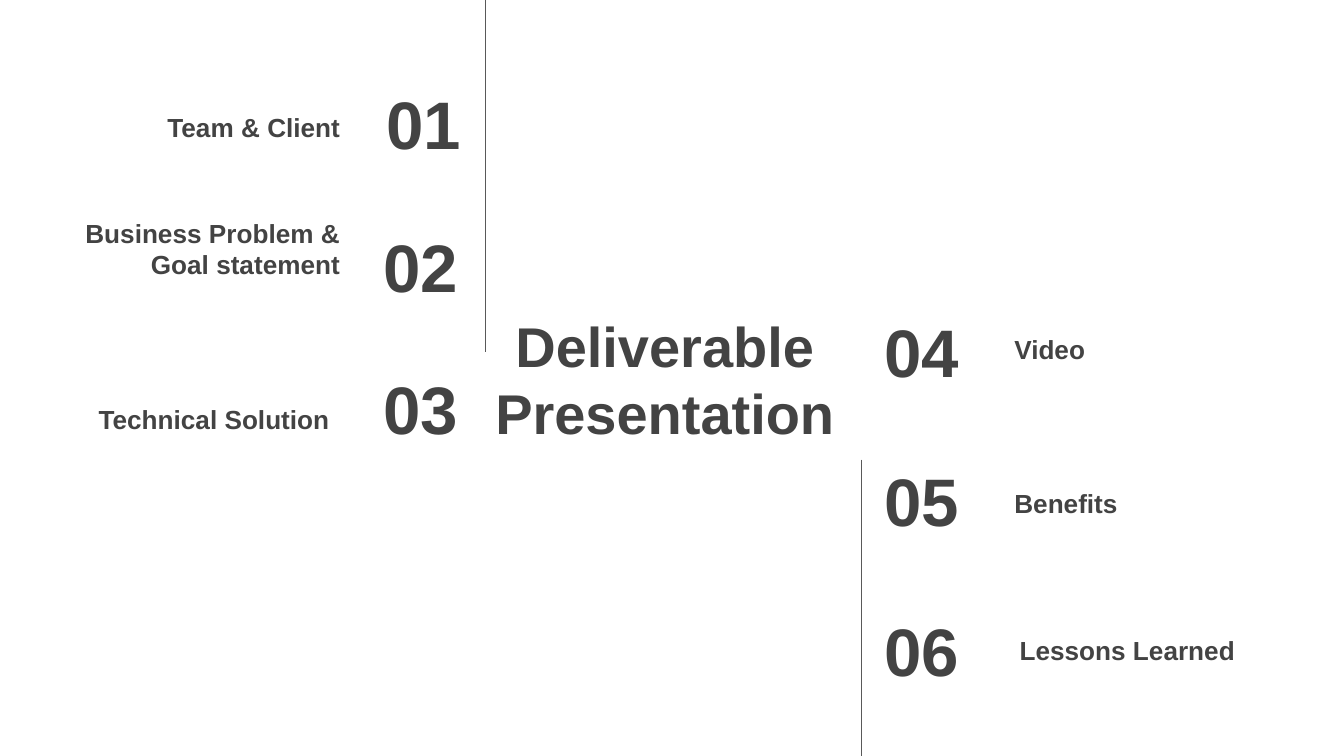
from lxml import etree
from pptx import Presentation
from pptx.dml.color import RGBColor
from pptx.enum.shapes import MSO_CONNECTOR
from pptx.enum.text import MSO_ANCHOR, MSO_AUTO_SIZE, PP_ALIGN
from pptx.oxml.ns import qn
from pptx.util import Cm, Pt

STRAIGHT = MSO_CONNECTOR.STRAIGHT
MIDDLE, BOTTOM = MSO_ANCHOR.MIDDLE, MSO_ANCHOR.BOTTOM
LEFT, CENTER, RIGHT = PP_ALIGN.LEFT, PP_ALIGN.CENTER, PP_ALIGN.RIGHT
NO_FIT = MSO_AUTO_SIZE.NONE

TITLE_ONLY = 5
TEXT = "434343"
RULE = "595959"
INSET = 0.25
ROW_H = 1.6
LABEL_W = 5.49

LEFT_ITEMS = [
    ("01", 5.89, 1.52, "Team & Client", 1.19, 1.35),
    ("02", 5.84, 4.22, "Business Problem & Goal statement", 1.19, 3.94),
    ("03", 5.84, 6.91, "Technical Solution", 0.99, 6.86),
]
RIGHT_ITEMS = [
    ("04", 16.46, 5.82, "Video", 18.92, 5.54),
    ("05", 16.46, 8.64, "Benefits", 18.92, 8.46),
    ("06", 16.46, 11.48, "Lessons Learned", 19.02, 11.23),
]


def color(value):
    return RGBColor.from_string(value)


def place(sp, x, y, w, h):
    sp.left, sp.top, sp.width, sp.height = Cm(x), Cm(y), Cm(w), Cm(h)


def write(sp, text, size=14, align=LEFT, anchor=MIDDLE):
    tf = sp.text_frame
    tf.word_wrap = True
    tf.auto_size = NO_FIT
    tf.vertical_anchor = anchor
    tf.margin_left = tf.margin_right = Cm(INSET)
    tf.margin_top = tf.margin_bottom = Cm(INSET)
    p = tf.paragraphs[0]
    p.alignment = align
    r = p.add_run()
    r.text = text
    r.font.name = "Arial"
    r.font.size = Pt(size)
    r.font.bold = True
    r.font.color.rgb = color(TEXT)


def add_text(s, text, x, y, w, **fmt):
    sp = s.shapes.add_textbox(Cm(x), Cm(y), Cm(w), Cm(ROW_H))
    write(sp, text, **fmt)


def add_items(s, items, number_w, align):
    for number, nx, ny, label, lx, ly in items:
        add_text(s, number, nx, ny, number_w, size=36, align=align)
        add_text(s, label, lx, ly, LABEL_W, align=align, anchor=BOTTOM)


def add_rule(s, x, top, bottom):
    line = s.shapes.add_connector(STRAIGHT, Cm(x), Cm(top), Cm(x), Cm(bottom))
    line.line.color.rgb = color(RULE)
    line.line.width = Pt(0.75)
    etree.SubElement(line._element.spPr, qn("a:effectLst"))


def main():
    prs = Presentation()
    prs.slide_width, prs.slide_height = Cm(25.4), Cm(14.29)
    s = prs.slides.add_slide(prs.slide_layouts[TITLE_ONLY])
    s.background.fill.solid()
    s.background.fill.fore_color.rgb = color("FFFFFF")

    title = s.shapes.title
    place(title, 8.97, 5.84, 7.19, 2.62)
    write(title, "Deliverable Presentation", size=30, align=CENTER)

    add_items(s, LEFT_ITEMS, 3.07, RIGHT)
    add_rule(s, 9.17, 0, 6.65)
    add_rule(s, 16.28, 8.69, 14.29)
    add_items(s, RIGHT_ITEMS, 2.97, LEFT)

    prs.save("out.pptx")


if __name__ == "__main__":
    main()
